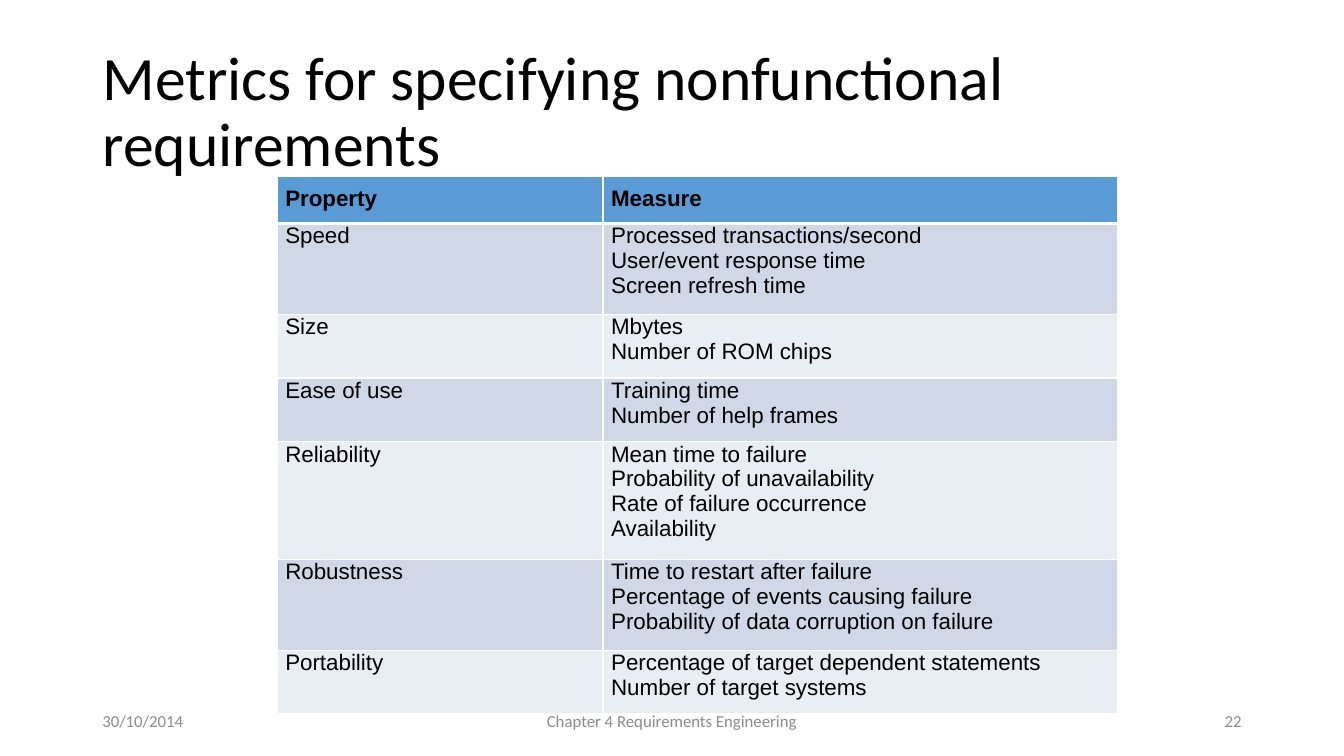
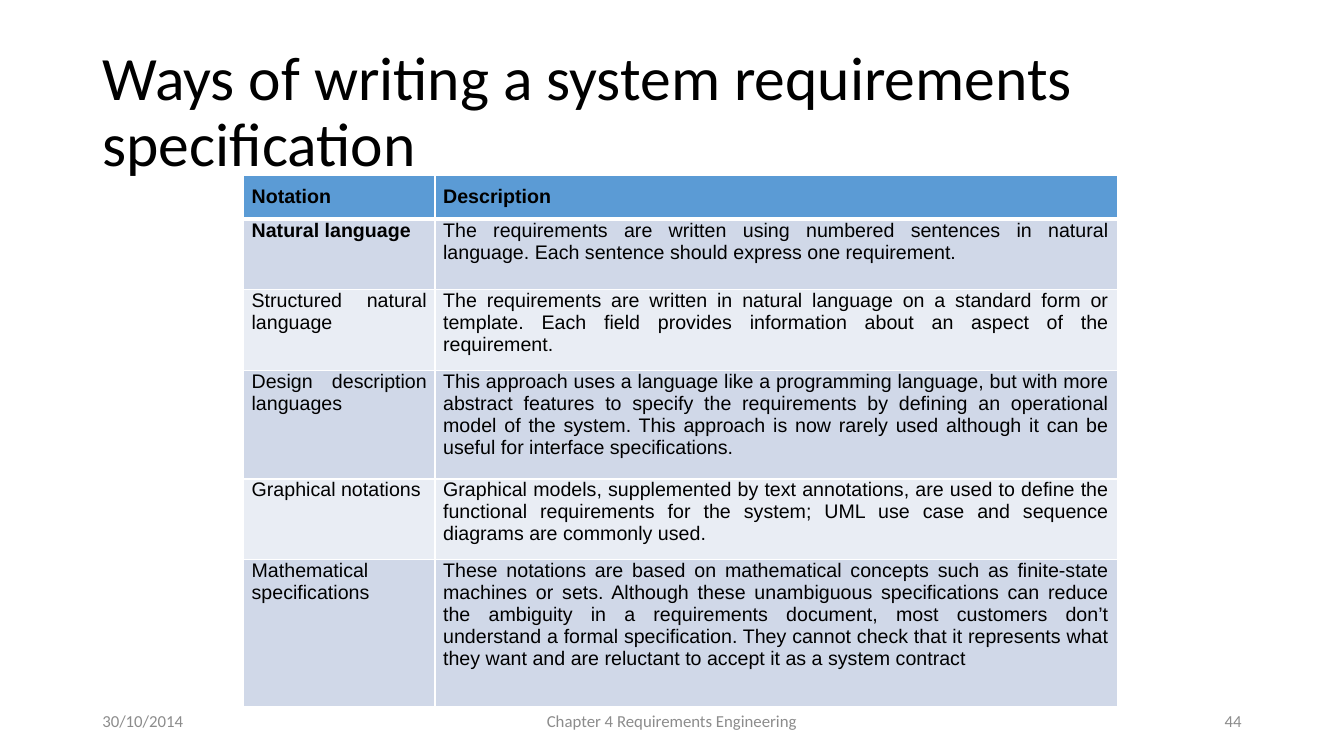
from lxml import etree
from pptx import Presentation
from pptx import util as u
from pptx.dml.color import RGBColor
from pptx.enum import text
from pptx.oxml.ns import qn

# Grid: 160 columns by 90 rows of square units
COLS, ROWS = 160, 90
UNIT = u.Inches(13.33333) / COLS
LEFT, WIDE = 11, 138
HEAD, BANDS, EDGE = "5B9BD5", ("D0D8E8", "E9EDF4"), "FFFFFF"
INK, GREY = "000000", "8C8C8C"
ALIGN = text.PP_ALIGN
MID = text.MSO_ANCHOR.MIDDLE
DATE, CHAPTER = "30/10/2014", "Chapter 4 Requirements Engineering"

METRICS = [
    ("Property", "Measure"),
    ("Speed", "Processed transactions/second\nUser/event response time\n"
              "Screen refresh time"),
    ("Size", "Mbytes\nNumber of ROM chips"),
    ("Ease of use", "Training time\nNumber of help frames"),
    ("Reliability", "Mean time to failure\nProbability of unavailability\n"
                    "Rate of failure occurrence\nAvailability"),
    ("Robustness", "Time to restart after failure\n"
                   "Percentage of events causing failure\n"
                   "Probability of data corruption on failure"),
    ("Portability", "Percentage of target dependent statements\n"
                    "Number of target systems"),
]
WAYS = [
    ("Notation", "Description"),
    ("Natural language",
     "The requirements are written using numbered sentences in natural "
     "language. Each sentence should express one requirement."),
    ("Structured natural language",
     "The requirements are written in natural language on a standard form or "
     "template. Each field provides information about an aspect of the "
     "requirement."),
    ("Design description languages",
     "This approach uses a language like a programming language, but with "
     "more abstract features to specify the requirements by defining an "
     "operational model of the system. This approach is now rarely used "
     "although it can be useful for interface specifications."),
    ("Graphical notations",
     "Graphical models, supplemented by text annotations, are used to define "
     "the functional requirements for the system; UML use case and sequence "
     "diagrams are commonly used."),
    ("Mathematical specifications",
     "These notations are based on mathematical concepts such as finite-state "
     "machines or sets. Although these unambiguous specifications can reduce "
     "the ambiguity in a requirements document, most customers don’t "
     "understand a formal specification. They cannot check that it represents "
     "what they want and are reluctant to accept it as a system contract"),
]


def grid(n):
    return u.Emu(round(n * UNIT))


def paint(hue):
    return RGBColor.from_string(hue)


def style(para, face, size, hue, align, bold=False):
    font = para.font
    font.name, font.size, font.bold = face, u.Pt(size), bold
    font.color.rgb = paint(hue)
    para.alignment = align


def add_title(slide, words):
    title = slide.shapes.title
    title.left, title.top = grid(LEFT), grid(4.8)
    title.width, title.height = grid(WIDE), grid(17.4)
    frame = title.text_frame
    frame.text = words
    frame.vertical_anchor = MID
    frame.auto_size = text.MSO_AUTO_SIZE.NONE
    para = frame.paragraphs[0]
    style(para, "Calibri", 44, INK, ALIGN.LEFT)
    para.line_spacing = 0.9


def add_foot(slide, page):
    right = LEFT + WIDE
    for left, wide, words, align in (
            (LEFT, 36, DATE, ALIGN.LEFT),
            ((COLS - 54) / 2, 54, CHAPTER, ALIGN.CENTER),
            (right - 36, 36, page, ALIGN.RIGHT)):
        box = slide.shapes.add_textbox(
            grid(left), grid(83.4), grid(wide), grid(4.8))
        frame = box.text_frame
        frame.word_wrap, frame.vertical_anchor = True, MID
        frame.text = words
        style(frame.paragraphs[0], "Calibri", 12, GREY, align)


def add_edges(cell, top, base):
    props = cell._tc.get_or_add_tcPr()
    for side, width in (("L", 1), ("R", 1), ("T", top), ("B", base)):
        line = etree.SubElement(props, qn("a:ln" + side), w=str(u.Pt(width)))
        fill = etree.SubElement(line, qn("a:solidFill"))
        etree.SubElement(fill, qn("a:srgbClr"), val=EDGE)


def fill_cell(cell, words, row, size, bold, align):
    cell.margin_left = cell.margin_right = u.Inches(0.08)
    cell.margin_top = u.Inches(0 if row else 0.1)
    cell.margin_bottom = u.Inches(0.1)
    # The rule under the heading is the thick one
    add_edges(cell, 3 if row == 1 else 1, 1 if row else 3)
    cell.fill.solid()
    cell.fill.fore_color.rgb = paint(BANDS[(row - 1) % 2] if row else HEAD)
    cell.text = words
    for para in cell.text_frame.paragraphs:
        style(para, "Arial", size, INK, align, bold)


def add_grid(slide, data, left, top, wides, highs, size, strong=(), flush=()):
    frame = slide.shapes.add_table(
        len(data), len(wides), grid(left), grid(top),
        grid(sum(wides)), grid(sum(highs)))
    table = frame.table
    for col, wide in zip(table.columns, wides):
        col.width = grid(wide)
    for row, (cells, high) in enumerate(zip(data, highs)):
        table.rows[row].height = grid(high)
        for col, words in enumerate(cells):
            fill_cell(table.cell(row, col), words, row, size,
                      row == 0 or words in strong,
                      ALIGN.LEFT if words in flush else ALIGN.JUSTIFY)


def add_page(deck, title, page):
    slide = deck.slides.add_slide(deck.slide_layouts[5])
    add_title(slide, title)
    add_foot(slide, page)
    return slide


def main():
    deck = Presentation()
    deck.slide_width, deck.slide_height = grid(COLS), grid(ROWS)

    # Metrics: row height follows the number of lines
    slide = add_page(
        deck, "Metrics for specifying nonfunctional requirements", "22")
    highs = [5.2] + [1.3 + 2.95 * len(words.split("\n"))
                     for _, words in METRICS[1:]]
    add_grid(slide, METRICS, 33, 21, (38.8, 61.2), highs, 16,
             flush=("Reliability",))

    # Notations
    slide = add_page(
        deck, "Ways of writing a system requirements specification", "44")
    add_grid(slide, WAYS, 29, 20.9, (22.8, 81.2),
             (4.8, 8.4, 9.1, 12.9, 9.1, 17.5), 14,
             strong=("Natural language",), flush=("Notation",))

    deck.save("out.pptx")


if __name__ == "__main__":
    main()
